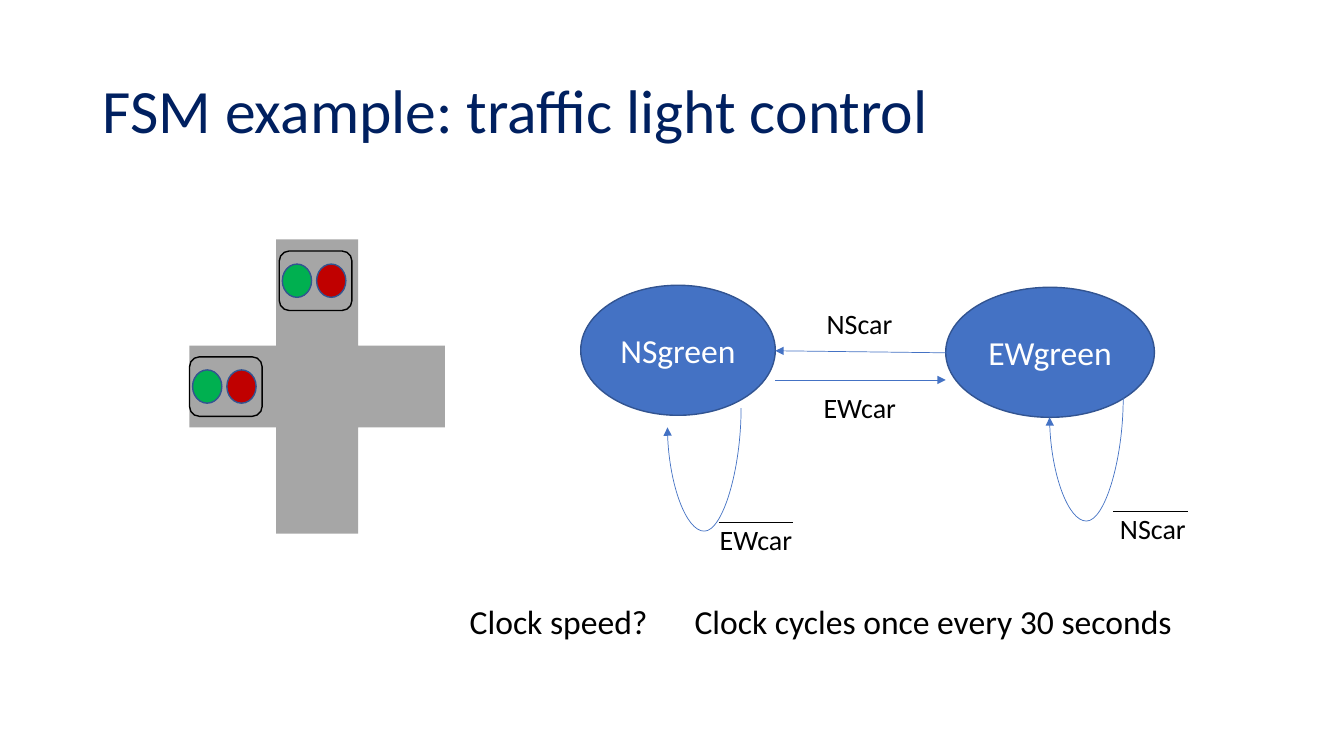
from dataclasses import dataclass

from lxml import etree
from pptx import Presentation
from pptx.dml.color import RGBColor
from pptx.enum.shapes import MSO_CONNECTOR, MSO_SHAPE
from pptx.enum.text import MSO_ANCHOR, PP_ALIGN
from pptx.oxml.ns import qn
from pptx.util import Inches, Pt

STRAIGHT, CURVE = MSO_CONNECTOR.STRAIGHT, MSO_CONNECTOR.CURVE
PLUS, OVAL, ROUNDED = MSO_SHAPE.MATH_PLUS, MSO_SHAPE.OVAL, MSO_SHAPE.ROUNDED_RECTANGLE
LEFT, CENTER = PP_ALIGN.LEFT, PP_ALIGN.CENTER
MIDDLE, TOP = MSO_ANCHOR.MIDDLE, MSO_ANCHOR.TOP


@dataclass(frozen=True)
class Theme:
    font: str = "Calibri"
    title: str = "002060"
    ink: str = "000000"
    white: str = "FFFFFF"
    road: str = "A6A6A6"
    go: str = "00B050"
    stop: str = "C00000"
    state: str = "4472C4"
    outline: str = "325491"
    title_size: int = 44
    text_size: int = 24
    label_size: int = 20


THEME = Theme()


def write(shape, text, size=THEME.text_size, color=THEME.ink, align=LEFT,
          anchor=TOP, wrap=False, spacing=None):
    frame = shape.text_frame
    frame.word_wrap = wrap
    frame.vertical_anchor = anchor
    paragraph = frame.paragraphs[0]
    paragraph.text = text
    paragraph.alignment = align
    paragraph.line_spacing = spacing
    paragraph.font.name = THEME.font
    paragraph.font.size = Pt(size)
    paragraph.font.color.rgb = RGBColor.from_string(color)


def style(shape, line, width=1, fill=None, arrow=False):
    if line:
        shape.line.color.rgb = RGBColor.from_string(line)
        shape.line.width = Pt(width)
    else:
        shape.line.fill.background()
    properties = shape._element.spPr
    if fill:
        shape.fill.solid()
        shape.fill.fore_color.rgb = RGBColor.from_string(fill)
    elif properties.getparent().tag == qn("p:sp"):
        shape.fill.background()
    if arrow:
        etree.SubElement(properties.find(qn("a:ln")), qn("a:tailEnd"), type="triangle")
    etree.SubElement(properties, qn("a:effectLst"))


presentation = Presentation()
presentation.slide_width = Inches(13.33)
presentation.slide_height = Inches(7.5)
slide = presentation.slides.add_slide(presentation.slide_layouts[5])
shapes = slide.shapes

# Title
title = shapes.title
title.left, title.top = Inches(0.92), Inches(0.4)
title.width, title.height = Inches(11.5), Inches(1.45)
write(title, "FSM example: traffic light control", size=THEME.title_size,
      color=THEME.title, anchor=MIDDLE, wrap=True, spacing=0.9)

# Crossroads
road = shapes.add_shape(PLUS, Inches(1.42), Inches(1.85), Inches(3.45), Inches(3.97))
style(road, None, fill=THEME.road)

# Traffic lights: two lamps in a rounded case
for left, top in [(2.77, 2.49), (1.88, 3.54)]:
    light = shapes.add_group_shape()
    for offset, color in [(0.03, THEME.go), (0.37, THEME.stop)]:
        lamp = light.shapes.add_shape(OVAL, Inches(left + offset), Inches(top + 0.13),
                                      Inches(0.29), Inches(0.33))
        style(lamp, THEME.outline, fill=color)
    case = light.shapes.add_shape(ROUNDED, Inches(left), Inches(top),
                                  Inches(0.72), Inches(0.59))
    style(case, THEME.ink)

# States
for name, left, top, width in [("NSgreen", 5.76, 2.83, 1.93), ("EWgreen", 9.38, 2.85, 2.07)]:
    state = shapes.add_shape(OVAL, Inches(left), Inches(top), Inches(width), Inches(1.29))
    style(state, THEME.outline, fill=THEME.state)
    write(state, name, color=THEME.white, align=CENTER, anchor=MIDDLE, wrap=True)

# Self loops: curves turned a quarter, bulging below their ends
for left, top in [(10.68, 3.68), (6.89, 3.78)]:
    loop = shapes.add_connector(CURVE, Inches(left), Inches(top),
                                Inches(left + 0.19), Inches(top + 0.73))
    style(loop, THEME.state, width=0.5, arrow=True)
    properties = loop._element.spPr
    properties.find(qn("a:xfrm")).set("rot", str(90 * 60000))
    adjustments = properties.find(qn("a:prstGeom")).find(qn("a:avLst"))
    etree.SubElement(adjustments, qn("a:gd"), name="adj1", fmla="val 641400")

# Transitions and the bars that negate a condition
for x1, y1, x2, y2, color, arrow in [
    (9.38, 3.5, 7.69, 3.48, THEME.state, True),
    (7.69, 3.77, 9.38, 3.77, THEME.state, True),
    (11.04, 5.07, 11.78, 5.07, THEME.ink, False),
    (7.13, 5.18, 7.87, 5.18, THEME.ink, False),
]:
    line = shapes.add_connector(STRAIGHT, Inches(x1), Inches(y1), Inches(x2), Inches(y2))
    style(line, color, width=0.5, arrow=arrow)

# Conditions and the clock question
for text, left, top, width, height, size in [
    ("NScar", 8.1, 2.99, 0.86, 0.44, THEME.label_size),
    ("EWcar", 8.07, 3.83, 0.93, 0.44, THEME.label_size),
    ("NScar", 11.01, 5.03, 0.86, 0.44, THEME.label_size),
    ("EWcar", 7.04, 5.13, 0.93, 0.44, THEME.label_size),
    ("Clock speed?", 4.56, 5.91, 1.98, 0.5, THEME.text_size),
    ("Clock cycles once every 30 seconds", 6.79, 5.91, 4.98, 0.5, THEME.text_size),
]:
    label = shapes.add_textbox(Inches(left), Inches(top), Inches(width), Inches(height))
    write(label, text, size=size)

presentation.save("out.pptx")
